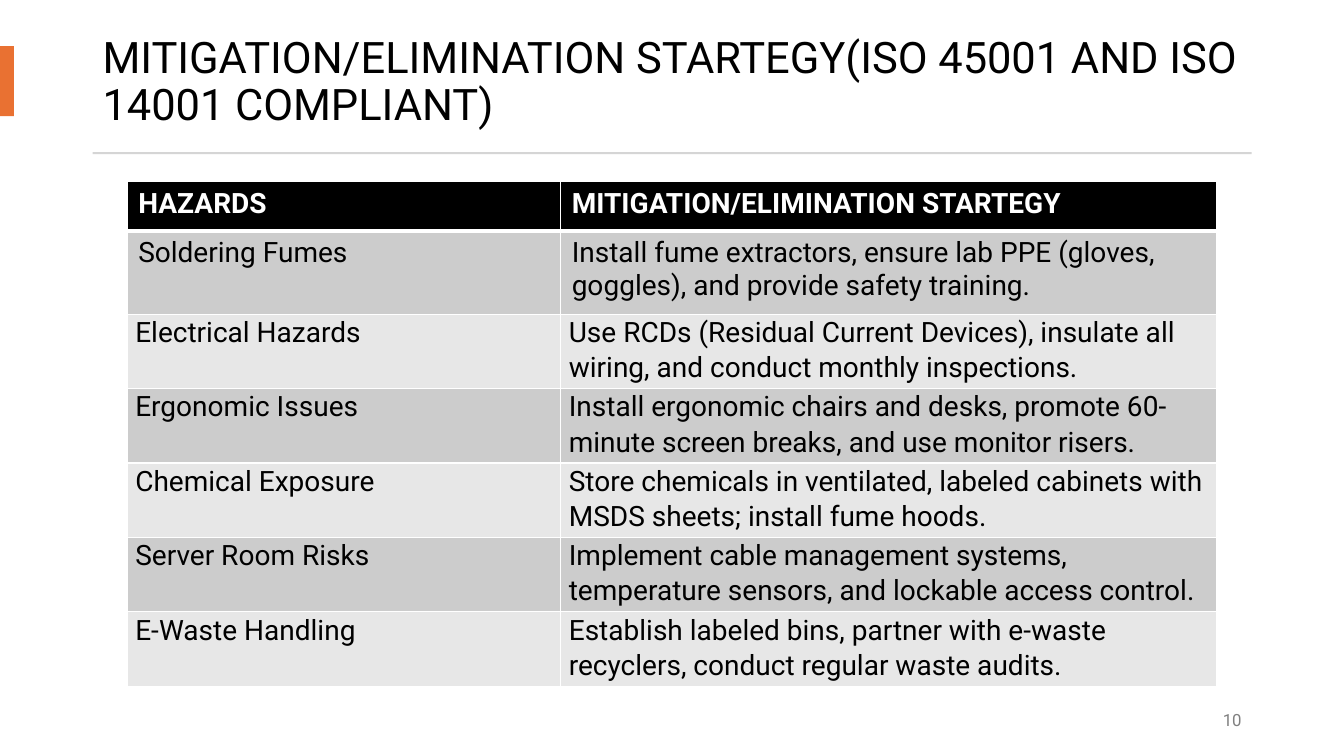
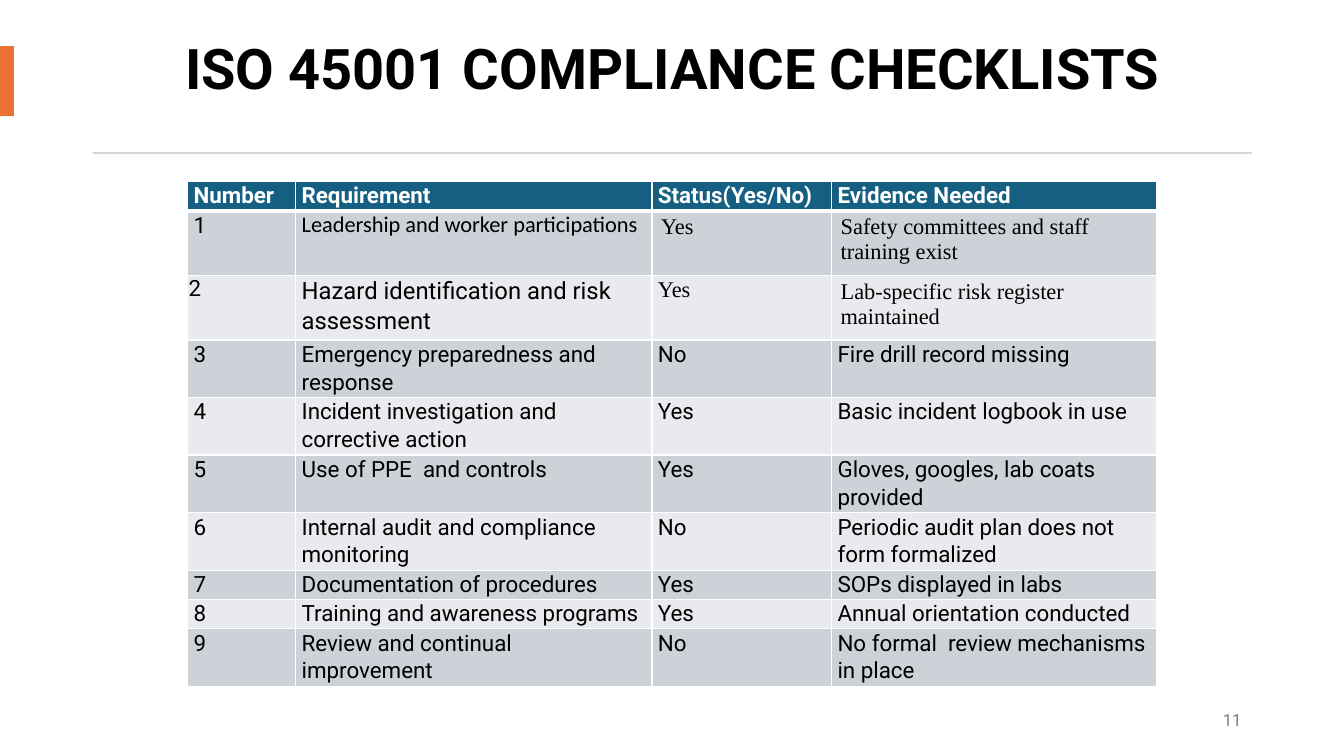
import collections

import lxml.etree
import pptx
import pptx.dml.color
import pptx.enum.shapes
import pptx.enum.text
import pptx.oxml.ns
import pptx.util

RGBColor = pptx.dml.color.RGBColor
BLACK = RGBColor(0x00, 0x00, 0x00)
WHITE = RGBColor(0xFF, 0xFF, 0xFF)
ORANGE = RGBColor(0xE9, 0x71, 0x32)
RULE_GRAY = RGBColor(0xD5, 0xD5, 0xD5)
NUMBER_GRAY = RGBColor(0x80, 0x80, 0x80)
TEAL = RGBColor(0x15, 0x60, 0x82)
GRAY_BANDS = (RGBColor(0xCC, 0xCC, 0xCC), RGBColor(0xE7, 0xE7, 0xE7))
BLUE_BANDS = (RGBColor(0xCC, 0xD2, 0xD8), RGBColor(0xE8, 0xEA, 0xED))

ROBOTO, CALIBRI, TIMES = "Roboto", "Calibri", "Times New Roman"

# The slide is a grid of 96 columns by 54 rows of square units
GRID_COLUMNS, GRID_ROWS = 96, 54
SLIDE_WIDTH, SLIDE_HEIGHT = pptx.util.Inches(13.33), pptx.util.Inches(7.5)
UNIT = SLIDE_HEIGHT / GRID_ROWS
MARGIN = 6.62
CONTENT_WIDTH = GRID_COLUMNS - 2 * MARGIN
TABLE_TOP, TABLE_HEIGHT = 12.96, 36.07

Box = collections.namedtuple("Box", "left top width height")
PAGE = Box(0, 0, GRID_COLUMNS, GRID_ROWS)

# Paragraph settings and cell insets (across, down) in grid units
PLAIN = {}
SPACED = {"line_spacing": 1.07, "space_after": pptx.util.Pt(8)}
TITLE_PARAGRAPH = {"line_spacing": 0.9}
CENTERED_TITLE = {"line_spacing": 0.9, "alignment": pptx.enum.text.PP_ALIGN.CENTER}
NUMBER_PARAGRAPH = {"alignment": pptx.enum.text.PP_ALIGN.RIGHT,
                    "space_after": pptx.util.Pt(6)}

HAZARD_OPEN = {"inset": (0.79, 0.43), "paragraph": PLAIN}
HAZARD_BODY = {"inset": (0.58, 0), "paragraph": SPACED, "size": 20}
CHECK_BODY = {"inset": (0.43, 0), "paragraph": SPACED, "size": 16}
CHECK_TIMES = {"inset": (0.65, 0.29), "paragraph": PLAIN, "font": TIMES}

HAZARDS = [
    ("HAZARDS", "MITIGATION/ELIMINATION STARTEGY"),
    ("Soldering Fumes", "Install fume extractors, ensure lab PPE (gloves, goggles), "
                        "and provide safety training."),
    ("Electrical Hazards", "Use RCDs (Residual Current Devices), insulate all wiring, "
                           "and conduct monthly inspections."),
    ("Ergonomic Issues", "Install ergonomic chairs and desks, promote 60-minute screen "
                         "breaks, and use monitor risers."),
    ("Chemical Exposure", "Store chemicals in ventilated, labeled cabinets with MSDS "
                          "sheets; install fume hoods."),
    ("Server Room Risks", "Implement cable management systems, temperature sensors, "
                          "and lockable access control."),
    ("E-Waste Handling", "Establish labeled bins, partner with e-waste recyclers, "
                         "conduct regular waste audits."),
]
HAZARD_STYLES = {(row, column): HAZARD_OPEN for row in (0, 1) for column in (0, 1)}

CHECKLIST = [
    ("Number", "Requirement", "Status(Yes/No)", "Evidence Needed"),
    ("1", "Leadership and worker participations", "Yes",
     "Safety committees and staff training exist"),
    ("2", "Hazard identification and risk assessment", "Yes",
     "Lab-specific risk register maintained"),
    ("3", "Emergency preparedness and response", "No", "Fire drill record missing"),
    ("4", "Incident investigation and corrective action", "Yes",
     "Basic incident logbook in use"),
    ("5", "Use of PPE  and controls", "Yes", "Gloves, googles, lab coats provided"),
    ("6", "Internal audit and compliance monitoring", "No",
     "Periodic audit plan does not form formalized"),
    ("7", "Documentation of procedures", "Yes", "SOPs displayed in labs"),
    ("8", "Training and awareness programs", "Yes", "Annual orientation conducted"),
    ("9", "Review and continual improvement", "No",
     "No formal  review mechanisms in place"),
]
CHECK_STYLES = {
    (1, 1): {"paragraph": PLAIN, "font": CALIBRI},
    (1, 2): CHECK_TIMES,
    (1, 3): CHECK_TIMES,
    (2, 0): {"inset": (0.07, 0.07), "paragraph": PLAIN},
    (2, 1): {"size": 17},
    (2, 2): {"font": TIMES},
    (2, 3): CHECK_TIMES,
}


def units(count):
    return pptx.util.Emu(round(count * UNIT))


def place(box, left, top, width, height):
    """Lengths of a part whose position is relative to the box."""
    return [units(n) for n in (box.left + left, box.top + top, width, height)]


def apply(target, values):
    for name, value in values.items():
        setattr(target, name, value)


def write(frame, text, paragraph_format, font_format, color):
    paragraph = frame.paragraphs[0]
    run = paragraph.add_run()
    run.text = text
    apply(paragraph, paragraph_format)
    apply(run.font, font_format)
    run.font.color.rgb = color


def add_label(slide, lengths, text, paragraph_format, font_format, color):
    frame = slide.shapes.add_textbox(*lengths).text_frame
    apply(frame, {"word_wrap": True,
                  "vertical_anchor": pptx.enum.text.MSO_ANCHOR.MIDDLE})
    write(frame, text, paragraph_format, font_format, color)


def add_bar(slide, lengths, color):
    bar = slide.shapes.add_shape(pptx.enum.shapes.MSO_SHAPE.RECTANGLE, *lengths)
    bar.shadow.inherit = False
    bar.fill.solid()
    bar.fill.fore_color.rgb = color
    bar.line.fill.background()


def add_frame(slide, box, title, title_rows, title_size, title_format, number, bold=False):
    """Title, accent, rule and page number shared by every slide."""
    add_label(slide, place(box, MARGIN, 1.94, CONTENT_WIDTH, title_rows), title,
              title_format,
              {"name": ROBOTO, "size": pptx.util.Pt(title_size), "bold": bold}, BLACK)
    add_bar(slide, place(box, 0, 3.3, 1, 5), ORANGE)
    add_bar(slide, place(box, MARGIN, 10.87, CONTENT_WIDTH, 0.14), RULE_GRAY)
    number_width = 19.6
    add_label(slide,
              place(box, box.width - MARGIN - number_width, 50, number_width, 2.88),
              str(number), NUMBER_PARAGRAPH,
              {"name": ROBOTO, "size": pptx.util.Pt(12)}, NUMBER_GRAY)


def add_borders(cell, widths):
    properties = cell._tc.get_or_add_tcPr()
    for side, width in widths.items():
        line = lxml.etree.SubElement(properties, pptx.oxml.ns.qn("a:ln" + side),
                                     w=str(pptx.util.Pt(width)))
        fill = lxml.etree.SubElement(line, pptx.oxml.ns.qn("a:solidFill"))
        lxml.etree.SubElement(fill, pptx.oxml.ns.qn("a:srgbClr"), val=str(WHITE))


def fill_cell(cell, text, style, is_header, color):
    borders = {"L": 1, "R": 1, "T": 1, "B": 3} if is_header else {"L": 1, "R": 1, "B": 1}
    add_borders(cell, borders)
    cell.fill.solid()
    cell.fill.fore_color.rgb = color
    across, down = (units(n) for n in style["inset"])
    apply(cell, {"margin_left": across, "margin_right": across,
                 "margin_top": down, "margin_bottom": down})
    write(cell.text_frame, text, style["paragraph"],
          {"name": style.get("font", ROBOTO), "size": pptx.util.Pt(style["size"]),
           "bold": is_header}, WHITE if is_header else BLACK)


def add_banded_table(slide, box, rows, column_shares, row_shares,
                     header_color, bands, body_style, special_styles):
    """Table filling the box, split by column and row shares."""
    table = slide.shapes.add_table(len(rows), len(column_shares),
                                   *place(box, 0, 0, box.width, box.height)).table
    table.horz_banding = False
    for column, share in zip(table.columns, column_shares):
        column.width = units(box.width * share / sum(column_shares))
    for row, share in zip(table.rows, row_shares):
        row.height = units(box.height * share / sum(row_shares))
    for r, texts in enumerate(rows):
        color = bands[(r - 1) % 2] if r else header_color
        for c, text in enumerate(texts):
            style = {**body_style, **special_styles.get((r, c), {})}
            fill_cell(table.cell(r, c), text, style, r == 0, color)


def table_box(box, width):
    """Box for a table centred on the page a little right of the middle."""
    return Box(box.left + (box.width - width) / 2, box.top + TABLE_TOP,
               width, TABLE_HEIGHT)


def build_mitigation(slide, box):
    add_frame(slide, box,
              "MITIGATION/ELIMINATION STARTEGY(ISO 45001 AND ISO 14001 COMPLIANT)",
              7.92, 31, TITLE_PARAGRAPH, 10)
    add_banded_table(slide, table_box(box, 77.83), HAZARDS, [4.3, 6.51],
                     [0.49, 0.83] + [0.74] * 5, BLACK, GRAY_BANDS,
                     HAZARD_BODY, HAZARD_STYLES)


def build_checklist(slide, box):
    add_frame(slide, box, "ISO 45001 COMPLIANCE CHECKLISTS",
              6.26, 40, CENTERED_TITLE, 11, bold=True)
    add_banded_table(slide, table_box(box, 69.19), CHECKLIST, [1.07, 3.53, 1.78, 3.22],
                     [0.29] + [0.64] * 2 + [0.57] * 4 + [0.29] * 2 + [0.57],
                     TEAL, BLUE_BANDS, CHECK_BODY, CHECK_STYLES)


def main():
    deck = pptx.Presentation()
    apply(deck, {"slide_width": SLIDE_WIDTH, "slide_height": SLIDE_HEIGHT})
    blank = deck.slide_layouts[6]
    for build in (build_mitigation, build_checklist):
        build(deck.slides.add_slide(blank), PAGE)
    deck.save("out.pptx")


if __name__ == "__main__":
    main()
